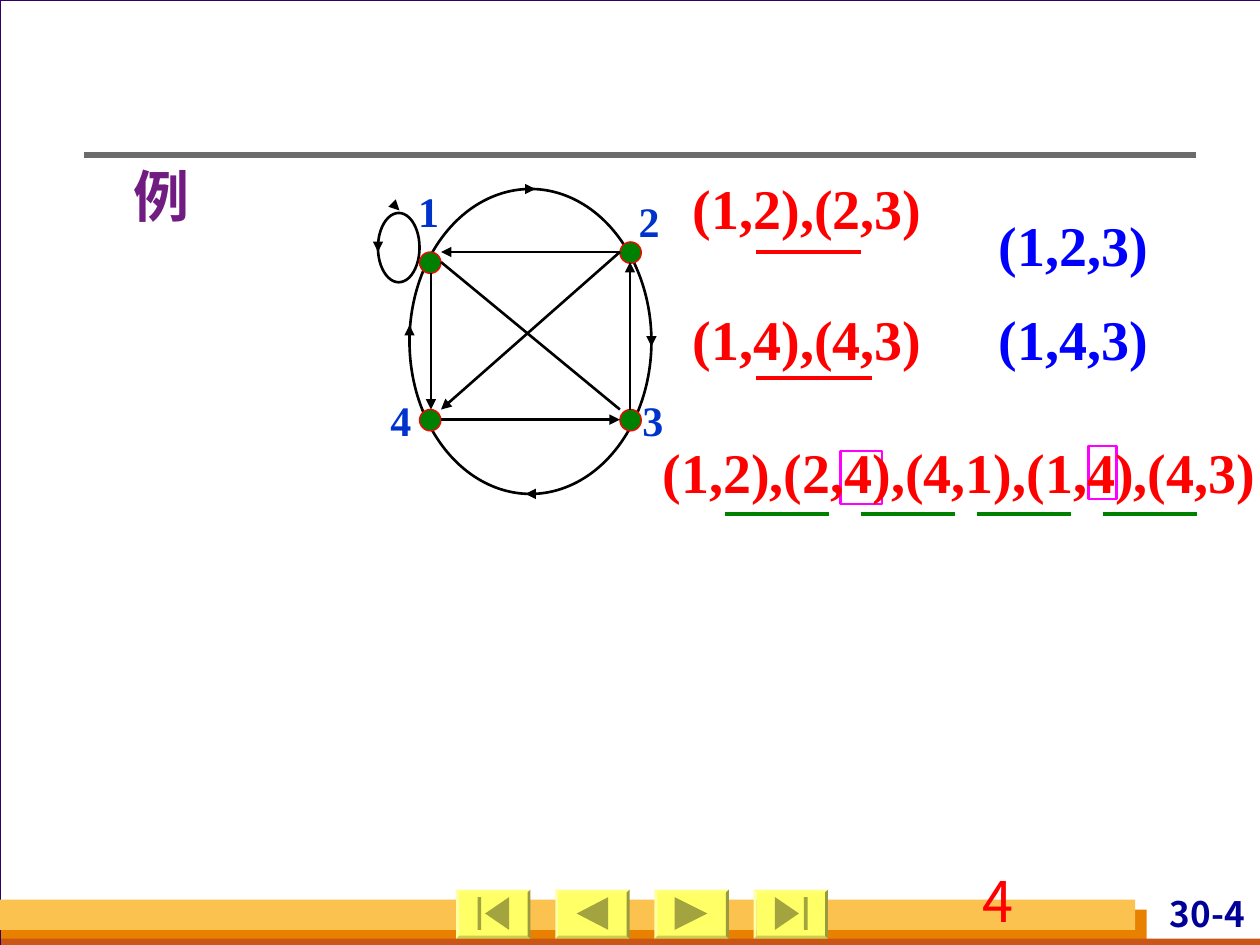
import pptx
import pptx.util
import pptx.dml.color
import pptx.enum.shapes
import pptx.enum.text
import pptx.oxml
import pptx.oxml.ns
from pptx.util import Inches

COLORS = {
    "white": "FFFFFF", "frame": "330066", "orange": "E88000", "rust": "C95616",
    "gold": "FCC24F", "navy": "000099", "rule": "6B6B6B", "button": "FFFF66",
    "icon": "A3A33F", "green": "008000", "red": "FF0000", "black": "000000",
    "label": "0033CC", "blue": "0000FF", "magenta": "FF00FF", "purple": "711C81",
    "background": "D8DADA",
}
SHAPE = pptx.enum.shapes.MSO_SHAPE
ALIGN = pptx.enum.text.PP_ALIGN
SERIF, SANS = "Times New Roman", "Noto Sans CJK SC"
rgb = {name: pptx.dml.color.RGBColor.from_string(c) for name, c in COLORS.items()}

prs = pptx.Presentation()
prs.slide_width, prs.slide_height = Inches(10), Inches(7.5)
s = prs.slides.add_slide(prs.slide_layouts[1])
s.shapes.title.element.getparent().remove(s.shapes.title.element)
s.background.fill.solid()
s.background.fill.fore_color.rgb = rgb["background"]


def add_shape(kind, x, y, w, h, fill=None, line=None, width=1.5):
    sp = s.shapes.add_shape(kind, Inches(x), Inches(y), Inches(w), Inches(h))
    sp.shadow.inherit = False
    if fill:
        sp.fill.solid()
        sp.fill.fore_color.rgb = rgb[fill]
    else:
        sp.fill.background()
    if line:
        sp.line.color.rgb = rgb[line]
        sp.line.width = pptx.util.Pt(width)
    else:
        sp.line.fill.background()
    return sp


def add_line(x1, y1, x2, y2, color="black", width=1.5, arrow=False):
    cn = s.shapes.add_connector(pptx.enum.shapes.MSO_CONNECTOR.STRAIGHT,
                                Inches(x1), Inches(y1), Inches(x2), Inches(y2))
    cn.line.color.rgb = rgb[color]
    cn.line.width = pptx.util.Pt(width)
    if arrow:
        ln = cn.line._get_or_add_ln()
        ln.append(pptx.oxml.parse_xml(
            f'<a:tailEnd {pptx.oxml.ns.nsdecls("a")} type="triangle"/>'))
    cn.element.spPr.append(pptx.oxml.parse_xml(
        f'<a:effectLst {pptx.oxml.ns.nsdecls("a")}/>'))


# Frame, footer bands and header rule
add_shape(SHAPE.RECTANGLE, 0, 0, 10.01, 7.5, "white", "frame", 0.75)
add_shape(SHAPE.RECTANGLE, 0.01, 7.22, 9.09, 0.28, "orange")
add_shape(SHAPE.RECTANGLE, 0.01, 7.45, 10, 0.08, "rust")
add_shape(SHAPE.RECTANGLE, 0, 7.14, 9.01, 0.24, "gold")
add_line(0.67, 1.23, 9.49, 1.23, "rule", 3)

# Navigation buttons: triangle offset, rotation, triangle width, bar offset
buttons = [(0.23, -90, 0.19, 0.17), (0.17, -90, 0.25, None),
           (0.16, 90, 0.26, None), (0.17, 90, 0.19, 0.4)]
for i, (dx, angle, w, bar) in enumerate(buttons):
    x = 3.62 + 0.787 * i
    sp = add_shape(SHAPE.BEVEL, x, 7.06, 0.59, 0.39, "button")
    sp.adjustments[0] = 0.06
    # The triangle is turned about its centre, so its height is the drawn width
    sp = add_shape(SHAPE.ISOSCELES_TRIANGLE, x + dx + w / 2 - 0.13, 7.25 - w / 2,
                   0.26, w, "icon")
    sp.rotation = angle
    if bar:
        add_shape(SHAPE.RECTANGLE, x + bar, 7.12, 0.03, 0.26, "icon")

# Graph: outer ring, self-loop and nodes
add_shape(SHAPE.OVAL, 3.25, 1.5, 1.92, 2.42, line="black")
add_shape(SHAPE.OVAL, 3, 1.69, 0.33, 0.55, line="black")
for x, y in [(3.33, 2), (4.92, 1.92), (4.92, 3.25), (3.33, 3.25)]:
    add_shape(SHAPE.OVAL, x, y, 0.17, 0.17, "green", "red", 0.75)

# Directed edges, then arrowheads on the ring and the loop
add_line(3.5, 2.08, 4.92, 3.25)
for ends in [(4.92, 2, 3.5, 3.25), (4.92, 2, 3.5, 2), (3.42, 2.17, 3.42, 3.25),
             (3.5, 3.33, 4.92, 3.33), (5, 3.25, 5, 2.08),
             (3.16, 1.66, 3.17, 1.67), (3, 1.92, 3, 2), (4.17, 1.5, 4.25, 1.5),
             (5.17, 2.67, 5.17, 2.75), (4.25, 3.92, 4.17, 3.92),
             (3.25, 2.75, 3.25, 2.58)]:
    add_line(*ends, arrow=True)

# Underlines of the shared vertices and boxes around the repeated vertex
for x1, x2, y, color, width in [
        (6, 6.83, 2, "red", 2), (6, 6.92, 3, "red", 2),
        (5.75, 6.58, 4.08, "green", 2.25), (6.83, 7.58, 4.08, "green", 2.25),
        (7.75, 8.5, 4.08, "green", 2.25), (8.75, 9.5, 4.08, "green", 2.25)]:
    add_line(x1, y, x2, y, color, width)
add_shape(SHAPE.RECTANGLE, 6.67, 3.58, 0.33, 0.42, line="magenta")
add_shape(SHAPE.RECTANGLE, 8.64, 3.54, 0.22, 0.42, line="magenta")

# Node labels, paths and page numbers
texts = [
    (3.22, 1.42, 0.36, 0.5, ["1"], 24, SERIF, "label", False),
    (4.97, 1.5, 0.36, 0.5, ["2"], 24, SERIF, "label", False),
    (5, 3.08, 0.36, 0.5, ["3"], 24, SERIF, "label", False),
    (3, 3.08, 0.36, 0.5, ["4"], 24, SERIF, "label", False),
    (5.4, 1.33, 2.77, 0.64, ["(1,2),(2,3)"], 32, SERIF, "red", True),
    (5.4, 2.37, 2.77, 0.64, ["(1,4),(4,3)"], 32, SERIF, "red", True),
    (5.16, 3.42, 4.91, 0.64, ["(1,2),(2,4),(4,1),(1,4),(4,3)"], 32, SERIF, "red", False),
    (7.83, 1.41, 1.83, 1.6, ["(1,2,3)", "(1,4,3)"], 32, SERIF, "blue", True),
    (7.7, 6.83, 2.08, 0.5, ["4"], 32, SANS, "red", True),
    (8.7, 7.08, 1.22, 0.38, ["30-4"], 20, SANS, "navy", True),
]
for x, y, w, h, lines, size, font, color, wrap in texts:
    tf = s.shapes.add_textbox(Inches(x), Inches(y), Inches(w), Inches(h)).text_frame
    tf.word_wrap = wrap
    if color == "navy":
        tf.margin_left = tf.margin_right = Inches(0.04)
        tf.margin_top = tf.margin_bottom = 0
    for i, line in enumerate(lines):
        p = tf.add_paragraph() if i else tf.paragraphs[0]
        if color == "navy":
            p.alignment = ALIGN.RIGHT
        if len(lines) > 1:
            p.line_spacing = 1.4
        r = p.add_run()
        r.text = line
        r.font.size = pptx.util.Pt(size)
        r.font.name = font
        r.font.bold = not (font == SANS and color == "red")
        r.font.color.rgb = rgb[color]

# Body: example heading, placed in front of the frame
body = s.placeholders[1]
body.left, body.top, body.width, body.height = map(Inches, (0.96, 1.23, 8.5, 3.85))
s.shapes._spTree.append(body.element)
p = body.text_frame.paragraphs[0]
pPr = p._p.get_or_add_pPr()
pPr.set("marL", str(Inches(0.38)))
pPr.set("indent", str(-Inches(0.38)))
pPr.append(pptx.oxml.parse_xml(f'<a:buNone {pptx.oxml.ns.nsdecls("a")}/>'))
p.space_before = pptx.util.Pt(0)
r = p.add_run()
r.text = "例"
r.font.size = pptx.util.Pt(32)
r.font.bold = True
r.font.name = SANS
r.font.color.rgb = rgb["purple"]
r.font._element.find(pptx.oxml.ns.qn("a:latin")).addnext(pptx.oxml.parse_xml(
    f'<a:ea {pptx.oxml.ns.nsdecls("a")} typeface="{SANS}"/>'))

prs.save("out.pptx")
